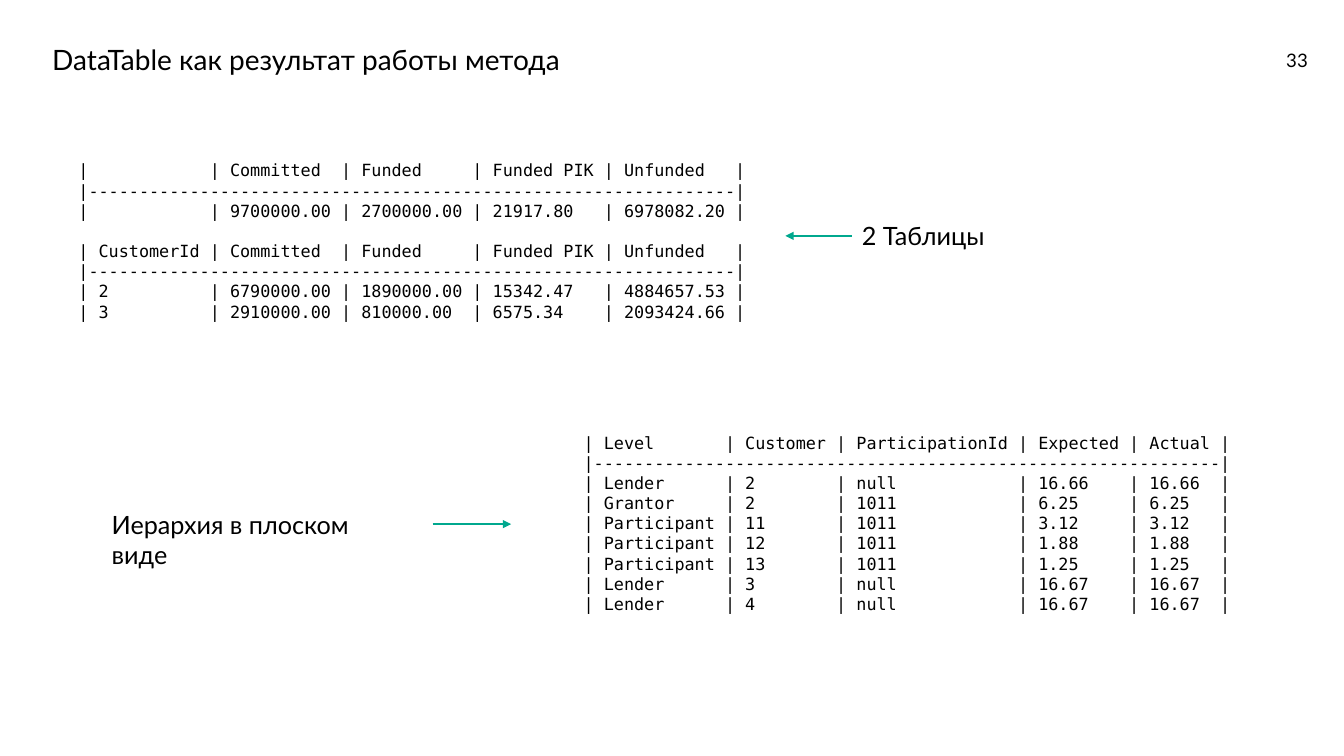
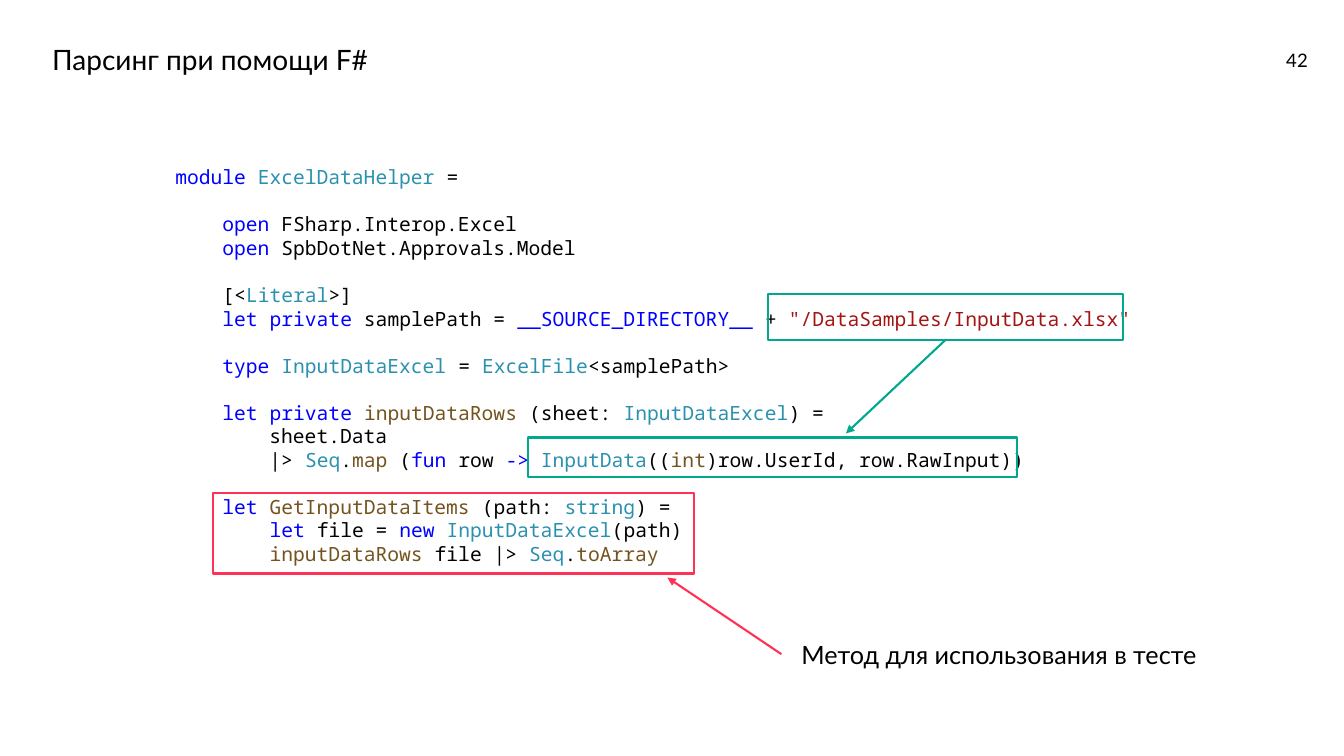
from lxml import etree
from pptx import Presentation
from pptx.dml.color import RGBColor
from pptx.enum.shapes import MSO_CONNECTOR, MSO_SHAPE
from pptx.enum.text import MSO_ANCHOR, PP_ALIGN
from pptx.oxml.ns import qn
from pptx.util import Emu, Pt

PX = 9144  # 100 px to the inch
SLIDE_WIDTH, SLIDE_HEIGHT = 1333, 750
BLANK_LAYOUT = 6
STRAIGHT = MSO_CONNECTOR.STRAIGHT
RECTANGLE = MSO_SHAPE.RECTANGLE
MIDDLE = MSO_ANCHOR.MIDDLE
RIGHT = PP_ALIGN.RIGHT
LEFT_SIDE, BOTTOM_SIDE = 1, 2
LINE_WIDTH = 1.5
LINE_PITCH = 1.2

COLORS = {
    "text": "000000",
    "green": "00A88E",
    "red": "FF3255",
    "keyword": "0000FF",
    "type": "2B91AF",
    "function": "74531F",
    "string": "A31515",
}
BODY_FONT = "Lato"
TABLE_FONT = "DejaVu Sans Mono"
CODE_FONT = "Noto Sans Mono"

FUNDING_WIDTHS = [10, 10, 10, 10, 10]
FUNDING_TOTALS = [
    ["", "Committed", "Funded", "Funded PIK", "Unfunded"],
    ["", "9700000.00", "2700000.00", "21917.80", "6978082.20"],
]
FUNDING_BY_CUSTOMER = [
    ["CustomerId", "Committed", "Funded", "Funded PIK", "Unfunded"],
    ["2", "6790000.00", "1890000.00", "15342.47", "4884657.53"],
    ["3", "2910000.00", "810000.00", "6575.34", "2093424.66"],
]
HIERARCHY_WIDTHS = [11, 8, 15, 8, 6]
HIERARCHY = [
    ["Level", "Customer", "ParticipationId", "Expected", "Actual"],
    ["Lender", "2", "null", "16.66", "16.66"],
    ["Grantor", "2", "1011", "6.25", "6.25"],
    ["Participant", "11", "1011", "3.12", "3.12"],
    ["Participant", "12", "1011", "1.88", "1.88"],
    ["Participant", "13", "1011", "1.25", "1.25"],
    ["Lender", "3", "null", "16.67", "16.67"],
    ["Lender", "4", "null", "16.67", "16.67"],
]

LET = ("let", "keyword")
OPEN = ("open", "keyword")
PRIVATE = ("private", "keyword")
SEQ = ("Seq", "type")
INPUT_DATA_EXCEL = ("InputDataExcel", "type")
INPUT_DATA_ROWS = ("inputDataRows", "function")

# Blocks of lines; a line is a list of plain strings and (text, colour) pairs.
CODE_BLOCKS = [
    [[("module", "keyword"), " ", ("ExcelDataHelper", "type"), " ="]],
    [
        ["    ", OPEN, " FSharp.Interop.Excel"],
        ["    ", OPEN, " SpbDotNet.Approvals.Model"],
    ],
    [
        ["    [<", ("Literal", "type"), ">]"],
        ["    ", LET, " ", PRIVATE, " samplePath = ",
         ("__SOURCE_DIRECTORY__", "keyword"), " + ",
         ('"/DataSamples/InputData.xlsx"', "string")],
    ],
    [["    ", ("type", "keyword"), " ", INPUT_DATA_EXCEL, " = ",
      ("ExcelFile", "type"), "<samplePath>"]],
    [
        ["    ", LET, " ", PRIVATE, " ", INPUT_DATA_ROWS, " (sheet: ",
         INPUT_DATA_EXCEL, ") ="],
        ["        sheet.Data"],
        ["        |> ", SEQ, ".", ("map", "function"), " (",
         ("fun", "keyword"), " row ", ("->", "keyword"), " ",
         ("InputData", "type"), "((", ("int", "function"),
         ")row.UserId, row.RawInput))"],
    ],
    [
        ["    ", LET, " ", ("GetInputDataItems", "function"), " (path: ",
         ("string", "type"), ") ="],
        ["        ", LET, " file = ", ("new", "keyword"), " ",
         INPUT_DATA_EXCEL, "(path)"],
        ["        ", INPUT_DATA_ROWS, " file |> ", SEQ, ".",
         ("toArray", "function")],
    ],
]


def px(*lengths):
    return [Emu(length * PX) for length in lengths]


def rgb(name):
    return RGBColor.from_string(COLORS[name])


def set_font(paragraph, name, size):
    paragraph.font.name = name
    paragraph.font.size = Pt(size)
    paragraph.font.color.rgb = rgb("text")


def add_text(page, text, at, size):
    box = page.shapes.add_textbox(*px(*at))
    box.text_frame.word_wrap = True
    paragraph = box.text_frame.paragraphs[0]
    paragraph.text = text
    set_font(paragraph, BODY_FONT, size)
    return box


def add_label(page, text, left, top, width):
    return add_text(page, text, (left, top, width, 40), 18)


def add_mono_text(page, blocks, at, font, size):
    """Set blocks of monospaced lines, one empty line's height apart."""
    frame = page.shapes.add_textbox(*px(*at)).text_frame
    frame.word_wrap = True
    pitch = Pt(size * LINE_PITCH)
    paragraph = None
    for block in blocks:
        for index, line in enumerate(block):
            starts_later_block = index == 0 and paragraph is not None
            paragraph = frame.add_paragraph() if paragraph else frame.paragraphs[0]
            paragraph.line_spacing = pitch
            if starts_later_block:
                paragraph.space_before = pitch
            set_font(paragraph, font, size)
            for part in line:
                text, color = (part, None) if isinstance(part, str) else part
                span = paragraph.add_run()
                span.text = text
                if color:
                    span.font.color.rgb = rgb(color)


def table_lines(rows, widths):
    """Lay rows out as printed by a console, with a rule under the header."""
    lines = []
    for row in rows:
        cells = [cell.ljust(width) for cell, width in zip(row, widths)]
        lines.append(["| " + " | ".join(cells) + " |"])
    rule = "|" + "-" * (len(lines[0][0]) - 2) + "|"
    return [lines[0], [rule], *lines[1:]]


def add_arrow(page, start, end, color):
    arrow = page.shapes.add_connector(STRAIGHT, *px(*start, *end))
    arrow.line.color.rgb = rgb(color)
    arrow.line.width = Pt(LINE_WIDTH)
    properties = arrow.line._get_or_add_ln()
    etree.SubElement(properties, qn("a:tailEnd"), type="triangle")
    etree.SubElement(properties.getparent(), qn("a:effectLst"))
    return arrow


def add_frame(page, at, color):
    frame = page.shapes.add_shape(RECTANGLE, *px(*at))
    frame.shadow.inherit = False
    frame.fill.background()
    frame.line.color.rgb = rgb(color)
    frame.line.width = Pt(LINE_WIDTH)
    return frame


def add_page(deck, title, number):
    page = deck.slides.add_slide(deck.slide_layouts[BLANK_LAYOUT])
    number_box = add_text(page, str(number), (1116, 44, 191, 33), 13.3)
    number_box.text_frame.paragraphs[0].alignment = RIGHT
    title_box = add_text(page, title, (42, 36, 1150, 49), 20)
    title_box.text_frame.vertical_anchor = MIDDLE
    title_box.text_frame.paragraphs[0].line_spacing = 0.9
    return page


def build_data_table_page(deck):
    page = add_page(deck, "DataTable как результат работы метода", 33)
    funding = [table_lines(rows, FUNDING_WIDTHS)
               for rows in (FUNDING_TOTALS, FUNDING_BY_CUSTOMER)]
    add_mono_text(page, funding, (68, 154, 857, 172), TABLE_FONT, 12)
    hierarchy = [table_lines(HIERARCHY, HIERARCHY_WIDTHS)]
    add_mono_text(page, hierarchy, (569, 424, 700, 192), TABLE_FONT, 12)

    tables_label = add_label(page, "2 Таблицы", 845, 214, 147)
    arrow = add_arrow(page, (845, 234), (779, 234), "green")
    arrow.begin_connect(tables_label, LEFT_SIDE)
    add_label(page, "Иерархия в плоском виде", 101, 500, 300)
    add_arrow(page, (429, 520), (507, 520), "green")


def build_parsing_page(deck):
    page = add_page(deck, "Парсинг при помощи F#", 42)
    add_mono_text(page, CODE_BLOCKS, (164, 159, 996, 411), CODE_FONT, 14)

    sample_frame = add_frame(page, (762, 292, 352, 45), "green")
    add_frame(page, (524, 434, 485, 39), "green")
    arrow = add_arrow(page, (938, 337), (839, 430), "green")
    arrow.begin_connect(sample_frame, BOTTOM_SIDE)

    add_frame(page, (211, 489, 477, 80), "red")
    add_arrow(page, (775, 649), (662, 573), "red")
    add_label(page, "Метод для использования в тесте", 785, 629, 421)


def main():
    deck = Presentation()
    deck.slide_width, deck.slide_height = px(SLIDE_WIDTH, SLIDE_HEIGHT)
    build_data_table_page(deck)
    build_parsing_page(deck)
    deck.save("out.pptx")


if __name__ == "__main__":
    main()
